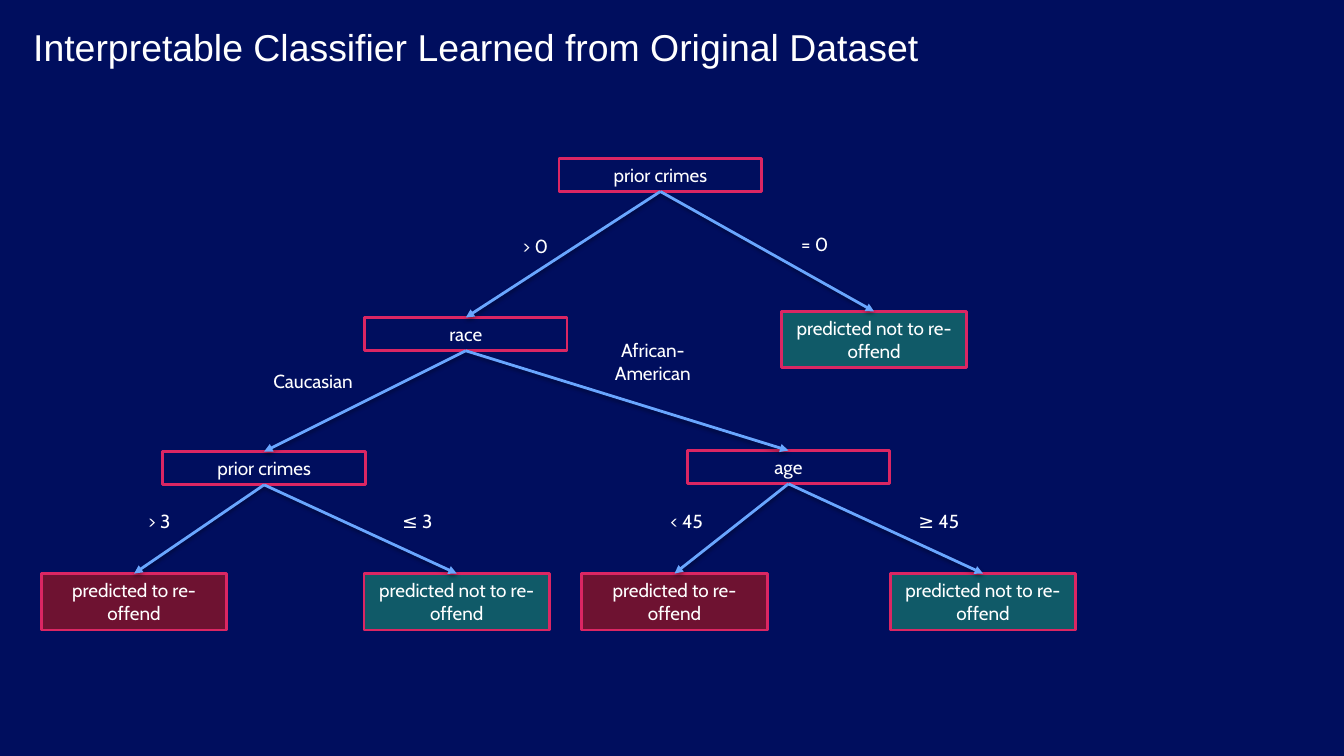
from lxml import etree
from pptx import Presentation
from pptx.dml.color import RGBColor
from pptx.enum.shapes import MSO_CONNECTOR, MSO_SHAPE
from pptx.enum.text import MSO_AUTO_SIZE, PP_ALIGN
from pptx.oxml import parse_xml
from pptx.oxml.ns import nsdecls, qn
from pptx.util import Inches, Pt

RECT = MSO_SHAPE.RECTANGLE
STRAIGHT = MSO_CONNECTOR.STRAIGHT
CENTER, LEFT = PP_ALIGN.CENTER, PP_ALIGN.LEFT
NO_FIT = MSO_AUTO_SIZE.NONE
TOP_SITE, BOTTOM_SITE = 0, 2

THEME = {
    "background": "000E5E",
    "question": "000E5E",
    "no": "105A68",
    "yes": "6E1231",
    "border": "DB2663",
    "arrow": "69A6FF",
    "text": "FFFFFF",
    "title_font": "Arial",
    "body_font": "Cabin",
    "title_size": 26.7,
    "body_size": 13.5,
    "line_width": 2,
}

TITLE = "Interpretable Classifier Learned from Original Dataset"
OUTCOMES = {"yes": "predicted to re-offend", "no": "predicted not to re-offend"}
LINE_H, TWO_LINE_H = 0.33, 0.56
QUESTION_W, LEAF_W = 2.01, 1.84
LABEL_W, WIDE_LABEL_W = 1.04, 1.51

# name: (kind, text, centre x, top)
NODES = {
    "root": ("question", "prior crimes", 6.55, 1.57),
    "race": ("question", "race", 4.62, 3.15),
    "root_no": ("no", OUTCOMES["no"], 8.67, 3.09),
    "crimes": ("question", "prior crimes", 2.62, 4.48),
    "age": ("question", "age", 7.82, 4.47),
    "crimes_yes": ("yes", OUTCOMES["yes"], 1.33, 5.69),
    "crimes_no": ("no", OUTCOMES["no"], 4.53, 5.69),
    "age_yes": ("yes", OUTCOMES["yes"], 6.69, 5.69),
    "age_no": ("no", OUTCOMES["no"], 9.75, 5.69),
}

BRANCHES = [
    ("root", "race", "> 0", 4.79, 2.28, LABEL_W, LINE_H),
    ("root", "root_no", "= 0", 7.56, 2.26, LABEL_W, LINE_H),
    ("race", "crimes", "Caucasian", 2.35, 3.62, WIDE_LABEL_W, LINE_H),
    ("race", "age", "African-American", 5.72, 3.31, WIDE_LABEL_W, TWO_LINE_H),
    ("crimes", "crimes_yes", "> 3", 1.06, 5.01, LABEL_W, LINE_H),
    ("crimes", "crimes_no", "≤ 3", 3.62, 5.01, LABEL_W, LINE_H),
    ("age", "age_yes", "< 45", 6.29, 5.01, LABEL_W, LINE_H),
    ("age", "age_no", "≥ 45", 8.79, 5.01, LABEL_W, LINE_H),
]

SHADOW = (
    f'<a:effectLst {nsdecls("a")}><a:outerShdw blurRad="{Pt(3.1)}" dist="{Pt(1.6)}" '
    'dir="5400000" rotWithShape="0"><a:srgbClr val="000000">'
    '<a:alpha val="38000"/></a:srgbClr></a:outerShdw></a:effectLst>'
)


def color(name):
    return RGBColor.from_string(THEME[name])


def write(s, text, role="body", align=CENTER):
    tf = s.text_frame
    tf.word_wrap = True
    tf.auto_size = NO_FIT
    p = tf.paragraphs[0]
    p.alignment = align
    r = p.add_run()
    r.text = text
    r.font.name = THEME[role + "_font"]
    r.font.size = Pt(THEME[role + "_size"])
    r.font.color.rgb = color("text")
    return tf


def add_text(slide, text, x, y, w, h, **style):
    s = slide.shapes.add_textbox(Inches(x), Inches(y), Inches(w), Inches(h))
    return write(s, text, **style)


def add_node(slide, kind, text, center, top):
    w, h = (QUESTION_W, LINE_H) if kind == "question" else (LEAF_W, TWO_LINE_H)
    s = slide.shapes.add_shape(
        RECT, Inches(center - w / 2), Inches(top), Inches(w), Inches(h))
    s.shadow.inherit = False
    s.fill.solid()
    s.fill.fore_color.rgb = color(kind)
    s.line.color.rgb = color("border")
    s.line.width = Pt(THEME["line_width"])
    write(s, text)
    return s


def add_arrow(slide, parent, child):
    c = slide.shapes.add_connector(STRAIGHT, 0, 0, 0, 0)
    c.begin_connect(parent, BOTTOM_SITE)
    c.end_connect(child, TOP_SITE)
    c.line.color.rgb = color("arrow")
    c.line.width = Pt(THEME["line_width"])
    etree.SubElement(c.line._get_or_add_ln(), qn("a:tailEnd"), type="triangle")
    c._element.spPr.append(parse_xml(SHADOW))


def main():
    prs = Presentation()
    prs.slide_width, prs.slide_height = Inches(13.33), Inches(7.5)
    slide = prs.slides.add_slide(prs.slide_layouts[6])
    slide.background.fill.solid()
    slide.background.fill.fore_color.rgb = color("background")

    tf = add_text(slide, TITLE, 0.33, 0.29, 11, 1.4, role="title", align=LEFT)
    tf.margin_left = tf.margin_right = tf.margin_top = tf.margin_bottom = 0
    tf.paragraphs[0].line_spacing = 0.9

    boxes = {name: add_node(slide, *node) for name, node in NODES.items()}
    for parent, child, *label in BRANCHES:
        add_arrow(slide, boxes[parent], boxes[child])
        add_text(slide, *label)

    prs.save("out.pptx")


if __name__ == "__main__":
    main()
